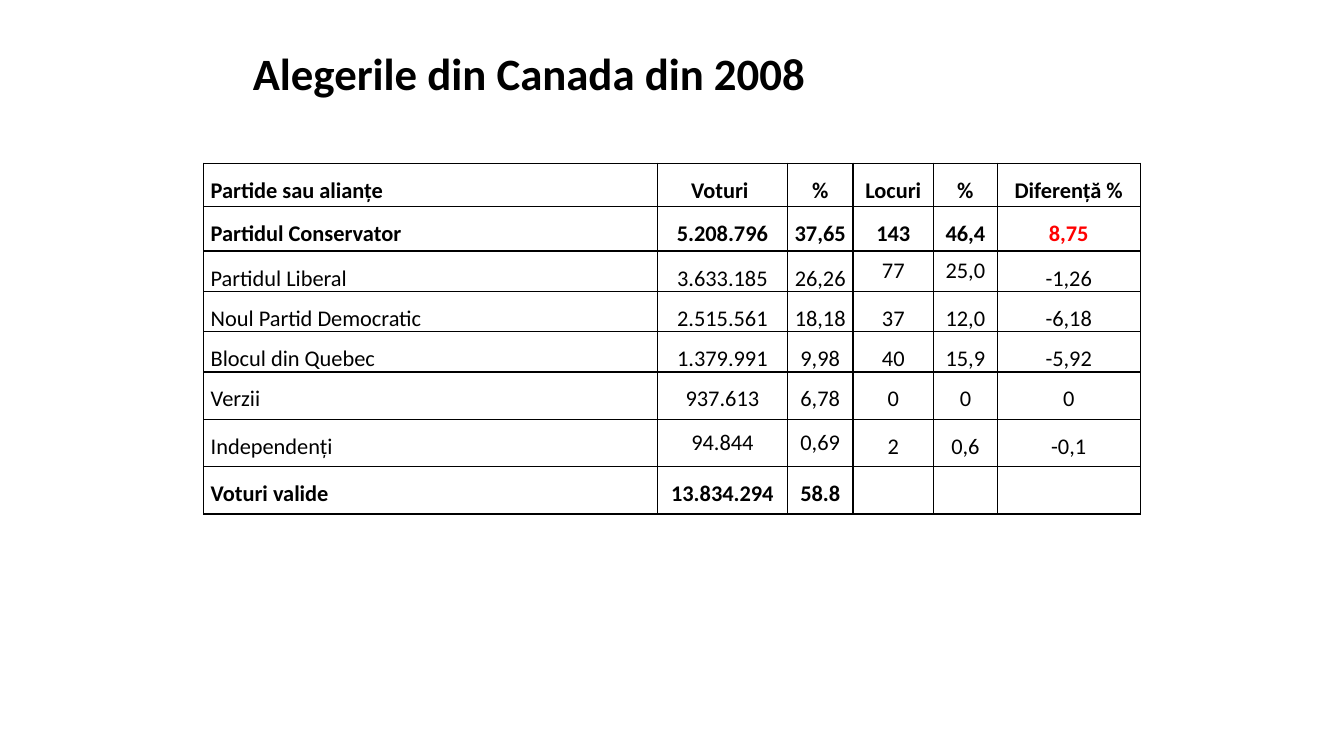
from lxml.etree import SubElement
from pptx import Presentation
from pptx.dml.color import RGBColor
from pptx.enum.text import MSO_ANCHOR, PP_ALIGN
from pptx.oxml.ns import qn
from pptx.util import Inches, Pt

THEME = {
    "font": "Calibri",
    "title_size": Pt(32),
    "table_size": Pt(16),
    "border_width": Pt(1),
    "text": RGBColor(0, 0, 0),
    "highlight": RGBColor(255, 0, 0),
}

COLUMN_WIDTHS = [4.5, 1.29, 0.65, 0.8, 0.63, 1.42]
ROW_HEIGHTS = [0.43, 0.44, 0.37, 0.36, 0.36, 0.47, 0.47, 0.47]
RESULTS = [
    ["Partide sau alianțe", "Voturi ", "%", "Locuri", "%", "Diferență %"],
    ["Partidul Conservator", "5.208.796", "37,65", "143", "46,4", "8,75"],
    ["Partidul Liberal", "3.633.185", "26,26", "77", "25,0", "-1,26"],
    ["Noul Partid Democratic", "2.515.561", "18,18", "37", "12,0", "-6,18"],
    ["Blocul din Quebec", "1.379.991", "9,98", "40", "15,9", "-5,92"],
    ["Verzii", "937.613", "6,78", "0", "0", "0"],
    ["Independenți", "94.844", "0,69", "2", "0,6", "-0,1"],
    ["Voturi valide", "13.834.294", "58.8", "", "", ""],
]
BOLD_ROWS = {0, 1, 7}
MIDDLE_CELLS = {(2, 3), (2, 4), (6, 1), (6, 2)}
HIGHLIGHT_CELL = (1, 5)


def add_text(paragraph, text, size, bold, color):
    run = paragraph.add_run()
    run.text = text
    run.font.name = THEME["font"]
    run.font.size = size
    run.font.bold = bold
    run.font.color.rgb = color


def add_borders(cell):
    properties = cell._tc.get_or_add_tcPr()
    for side in ("lnL", "lnR", "lnT", "lnB"):
        line = SubElement(properties, qn(f"a:{side}"), w=str(THEME["border_width"]))
        fill = SubElement(line, qn("a:solidFill"))
        SubElement(fill, qn("a:srgbClr"), val=str(THEME["text"]))


presentation = Presentation()
presentation.slide_width = Inches(13.33)
presentation.slide_height = Inches(7.5)
slide = presentation.slides.add_slide(presentation.slide_layouts[6])

title = slide.shapes.add_textbox(Inches(2.41), Inches(0.44), Inches(8.5), Inches(0.62))
title.text_frame.word_wrap = True
title.text_frame.vertical_anchor = MSO_ANCHOR.MIDDLE
title_paragraph = title.text_frame.paragraphs[0]
title_paragraph.line_spacing = 0.9
add_text(title_paragraph, "Alegerile din Canada din 2008", THEME["title_size"], True, THEME["text"])

table = slide.shapes.add_table(
    len(RESULTS), len(COLUMN_WIDTHS),
    Inches(2.02), Inches(1.62), Inches(sum(COLUMN_WIDTHS)), Inches(sum(ROW_HEIGHTS)),
).table
table.first_row = False
table.horz_banding = False
for column, width in zip(table.columns, COLUMN_WIDTHS):
    column.width = Inches(width)
for row, height in zip(table.rows, ROW_HEIGHTS):
    row.height = Inches(height)

for row_index, values in enumerate(RESULTS):
    for column_index, value in enumerate(values):
        position = (row_index, column_index)
        cell = table.cell(*position)
        add_borders(cell)
        cell.fill.background()
        if not value:
            continue
        paragraph = cell.text_frame.paragraphs[0]
        paragraph.alignment = PP_ALIGN.CENTER if column_index else PP_ALIGN.LEFT
        if position in MIDDLE_CELLS:
            cell.vertical_anchor = MSO_ANCHOR.MIDDLE
        else:
            cell.margin_left = cell.margin_right = Inches(0.07)
            cell.margin_top = cell.margin_bottom = Inches(0)
            paragraph.line_spacing = 1.5
        color = THEME["highlight"] if position == HIGHLIGHT_CELL else THEME["text"]
        add_text(paragraph, value, THEME["table_size"], row_index in BOLD_ROWS, color)

presentation.save("out.pptx")
